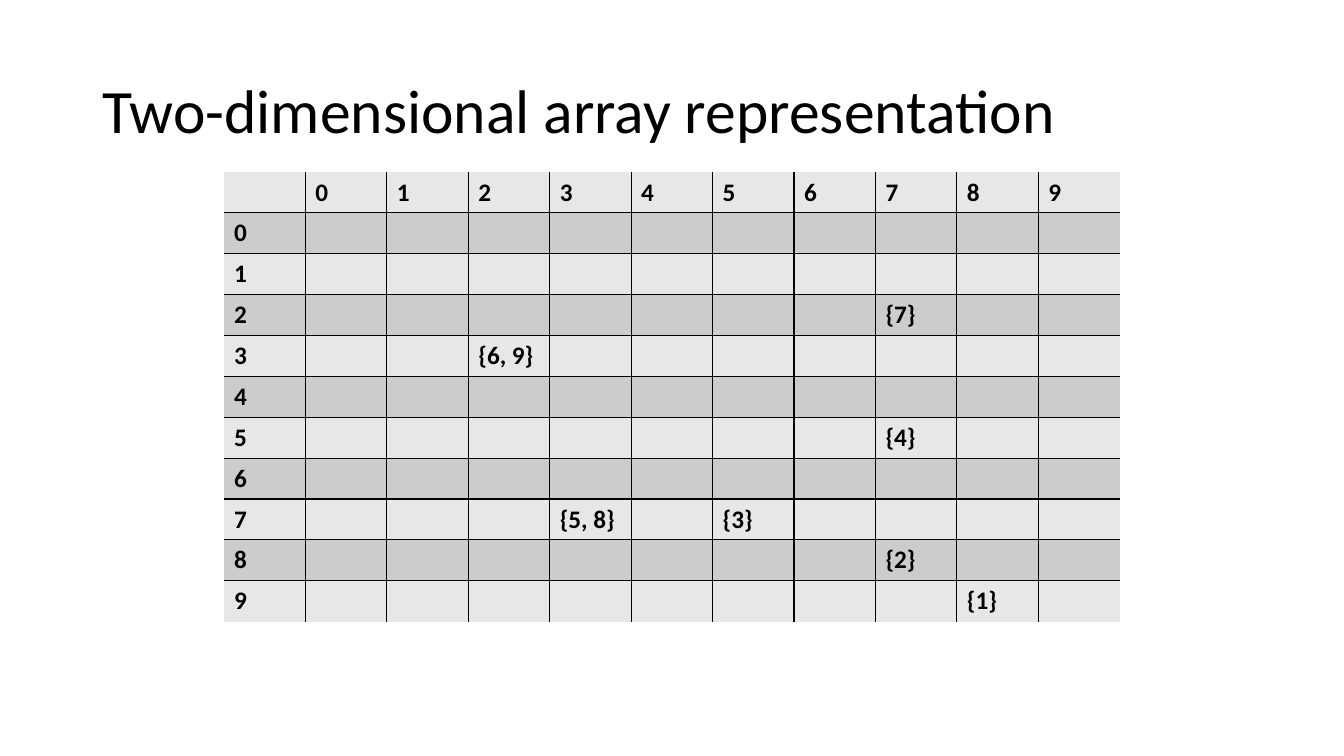
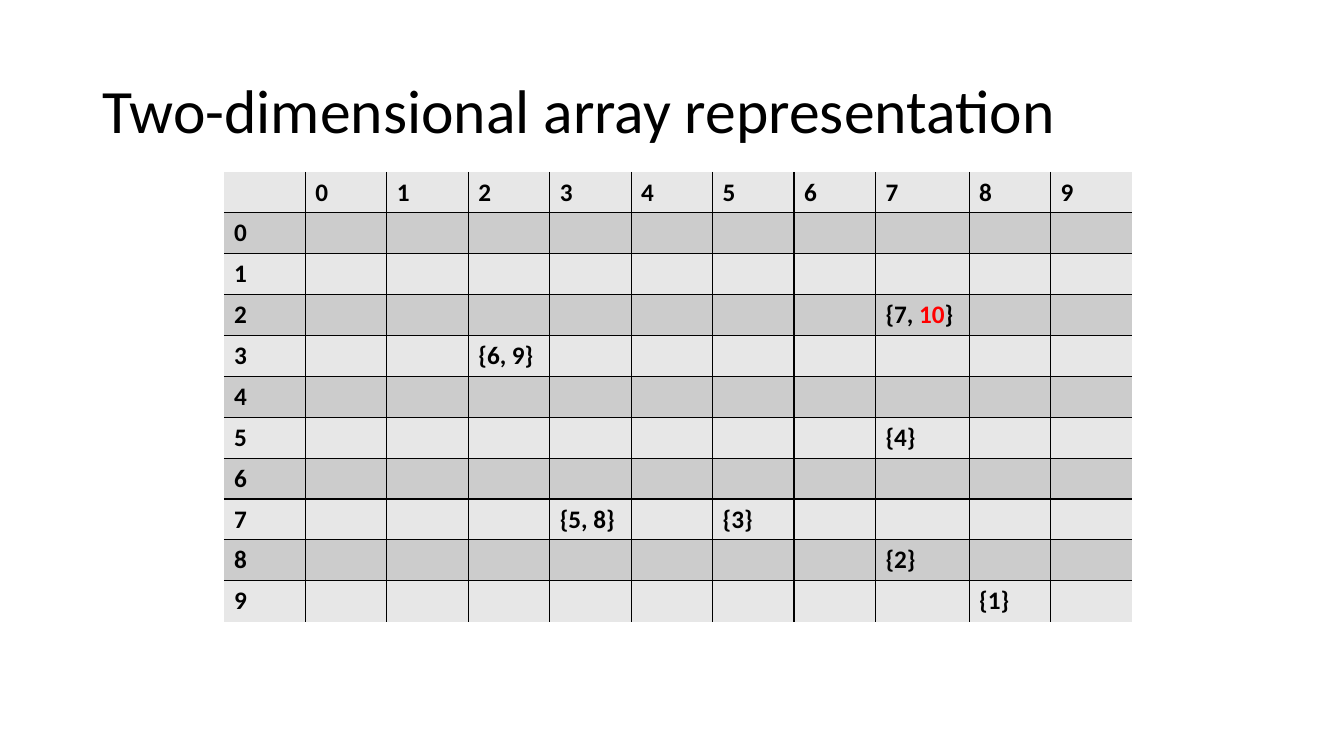
from dataclasses import dataclass

from lxml import etree
from pptx import Presentation
from pptx import util as u
from pptx.dml.color import RGBColor
from pptx.enum import text
from pptx.oxml import ns

Pt = u.Pt


# Shared look
@dataclass(frozen=True)
class Theme:
    font: str = "Calibri"
    ink: str = "000000"
    accent: str = "FF0000"
    light: str = "E7E7E7"
    dark: str = "CCCCCC"
    title_size: int = 44
    cell_size: int = 18
    border: int = 1


THEME = Theme()
TITLE = "Two-dimensional array representation"
TITLE_BOX = (66, 28.75, 828, 104.4)
GRID_LEFT, GRID_TOP = 160, 122.86
COLUMN_WIDTH, ROW_HEIGHT = 58.18, 29.2
WIDE_COLUMN_WIDTH = 66.9
DIGITS = range(10)

# Array contents, keyed by (row, column)
ENTRIES = {
    (2, 7): "{7}", (3, 2): "{6, 9}", (5, 7): "{4}", (7, 3): "{5, 8}",
    (7, 5): "{3}", (8, 7): "{2}", (9, 8): "{1}",
}
INSERTED = {(2, 7): [("{7, ", THEME.ink), ("10", THEME.accent), ("}", THEME.ink)]}


def set_attributes(target, values):
    for name, value in values.items():
        setattr(target, name, value)


def add_run(paragraph, words, size, colour=THEME.ink, bold=False):
    run = paragraph.add_run()
    run.text = words
    set_attributes(run.font, {"name": THEME.font, "size": Pt(size), "bold": bold})
    run.font.color.rgb = RGBColor.from_string(colour)


def add_title(slide, words):
    box = slide.shapes.add_textbox(*map(Pt, TITLE_BOX))
    set_attributes(box.text_frame, {
        "word_wrap": True, "vertical_anchor": text.MSO_ANCHOR.MIDDLE})
    paragraph = box.text_frame.paragraphs[0]
    paragraph.line_spacing = 0.9
    add_run(paragraph, words, THEME.title_size)


def set_border(cell, side, visible):
    properties = cell._tc.get_or_add_tcPr()
    line = etree.SubElement(properties, ns.qn(f"a:ln{side}"),
                            w=str(Pt(THEME.border)))
    if visible:
        fill = etree.SubElement(line, ns.qn("a:solidFill"))
        etree.SubElement(fill, ns.qn("a:srgbClr"), val=THEME.ink)
    else:
        etree.SubElement(line, ns.qn("a:noFill"))


def cell_runs(row, column, entries):
    """Indices label the first row and column; entries fill the rest."""
    if row and column:
        content = entries.get((row - 1, column - 1), [])
    else:
        content = str(row + column - 1) if row or column else []
    return [(content, THEME.ink)] if isinstance(content, str) else content


def add_array(slide, entries, wide_digits=()):
    count = len(DIGITS) + 1
    widths = [COLUMN_WIDTH] + [
        WIDE_COLUMN_WIDTH if digit in wide_digits else COLUMN_WIDTH
        for digit in DIGITS]
    frame = slide.shapes.add_table(
        count, count, Pt(GRID_LEFT), Pt(GRID_TOP),
        Pt(sum(widths)), Pt(count * ROW_HEIGHT))
    table = frame.table
    set_attributes(table, {"first_row": False, "horz_banding": False})
    for column, width in zip(table.columns, widths):
        column.width = Pt(width)

    last = count - 1
    for row in range(count):
        table.rows[row].height = Pt(ROW_HEIGHT)
        for column in range(count):
            cell = table.cell(row, column)
            # Rules run between cells only, not round the outside
            inner = {"L": column > 0, "R": column < last,
                     "T": row > 0, "B": row < last}
            for side, visible in inner.items():
                set_border(cell, side, visible)
            cell.fill.solid()
            cell.fill.fore_color.rgb = RGBColor.from_string(
                THEME.dark if row % 2 else THEME.light)
            paragraph = cell.text_frame.paragraphs[0]
            paragraph.font.size = Pt(THEME.cell_size)
            for words, colour in cell_runs(row, column, entries):
                add_run(paragraph, words, THEME.cell_size, colour, bold=True)


def main():
    presentation = Presentation()
    set_attributes(presentation, {"slide_width": Pt(960), "slide_height": Pt(540)})
    blank = presentation.slide_layouts[6]

    # Array before and after inserting 10
    for entries, wide_digits in ((ENTRIES, ()), (ENTRIES | INSERTED, (7,))):
        slide = presentation.slides.add_slide(blank)
        add_array(slide, entries, wide_digits)
        add_title(slide, TITLE)

    presentation.save("out.pptx")


main()
